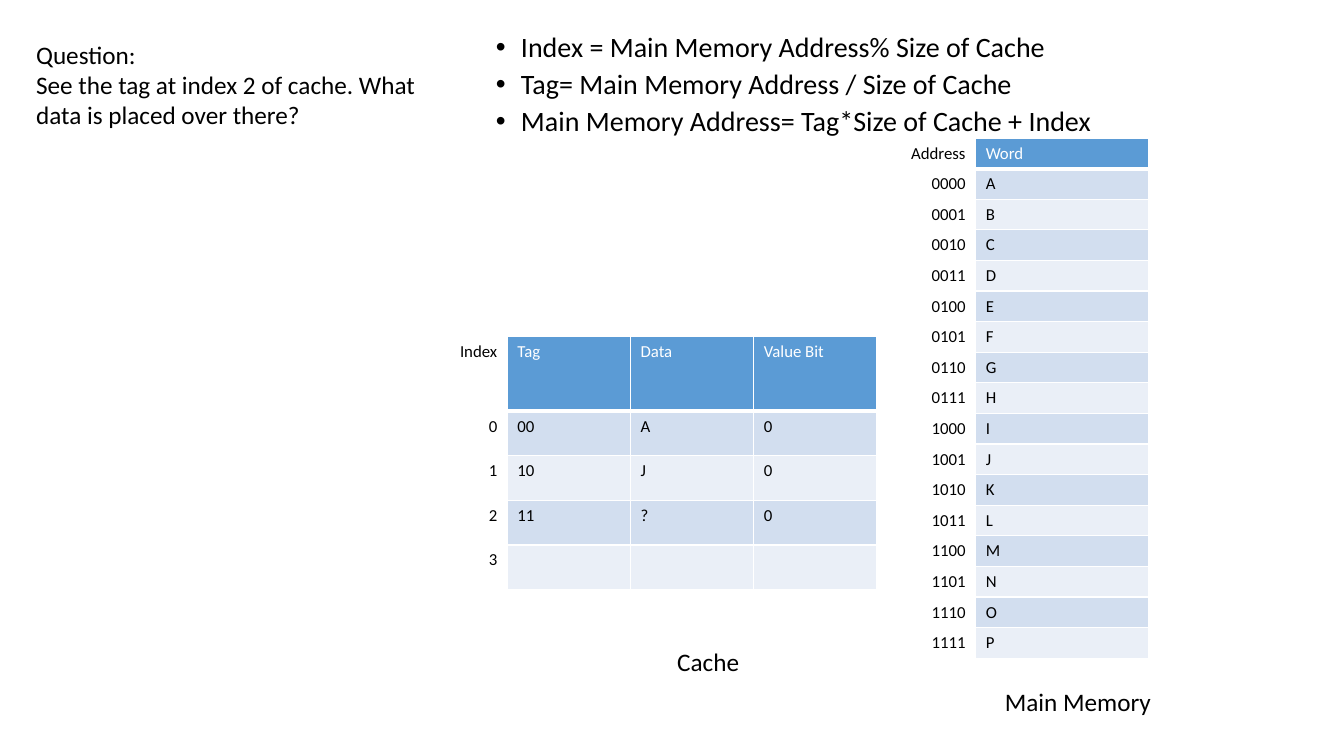
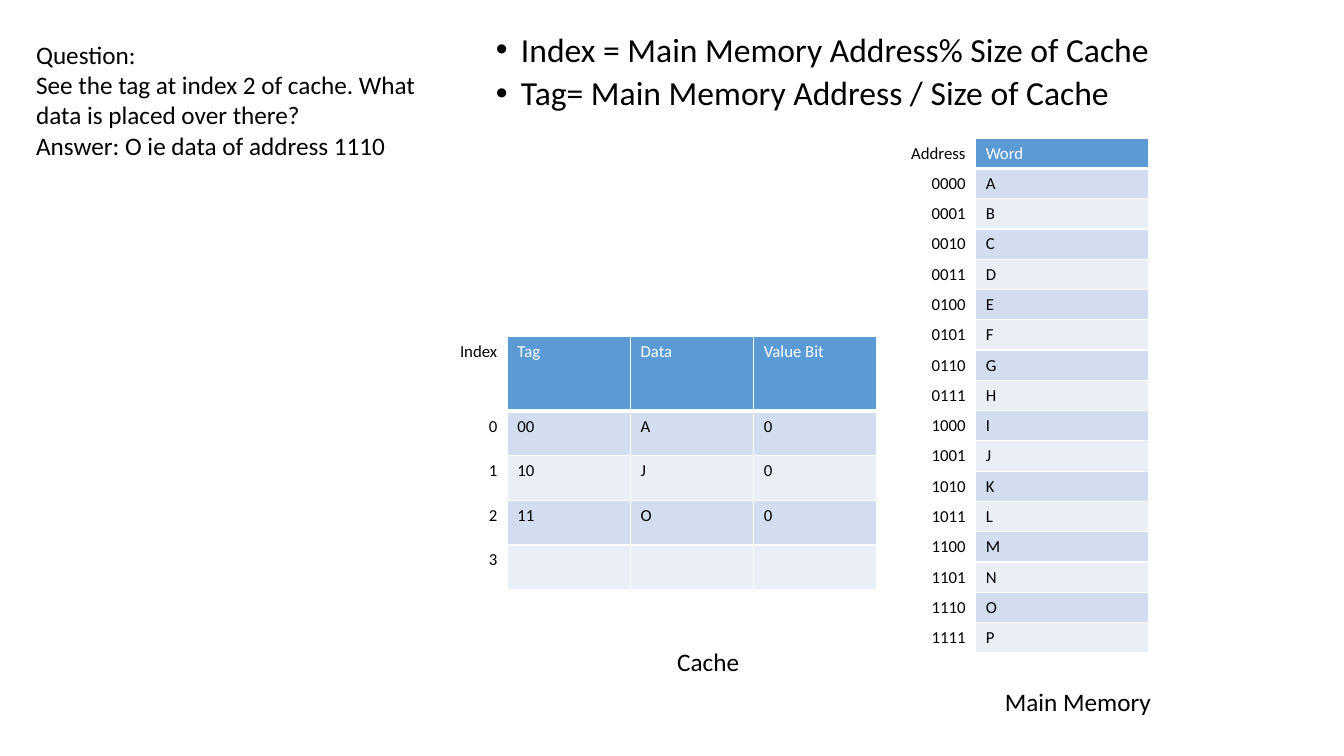
from dataclasses import dataclass

from lxml.etree import SubElement
from pptx import Presentation
from pptx.dml.color import RGBColor
from pptx.enum.text import MSO_AUTO_SIZE as AutoSize, PP_ALIGN as Align
from pptx.oxml.ns import qn
from pptx.util import Inches, Pt


@dataclass(frozen=True)
class Theme:
    font: str = "Calibri"
    ink: str = "000000"
    paper: str = "FFFFFF"
    header: str = "5B9BD5"
    bands: tuple = ("D2DEEF", "EAEFF7")
    cell_size: int = 12
    text_size: int = 18
    rule: int = 1
    header_rule: int = 3


@dataclass(frozen=True)
class Box:
    """A region in percent of the slide's width and height."""
    left: float
    top: float
    width: float
    height: float

    def place(self):
        return (int(WIDTH * self.left / 100), int(HEIGHT * self.top / 100),
                int(WIDTH * self.width / 100), int(HEIGHT * self.height / 100))


THEME = Theme()
WIDTH, HEIGHT = Inches(13.33), Inches(7.5)
MEMORY_BOX = Box(59.7, 18.27, 25.8, 68)
CACHE_BOX = Box(28.58, 44.53, 36.68, 33.47)
CAPTIONS = {
    "Cache": Box(49.65, 84.8, 6.15, 5.33),
    "Main Memory": Box(74.03, 90.13, 12.53, 5.33),
}

MEMORY_ROWS = [("Address", "Word")] + [
    (f"{address:04b}", word) for address, word in enumerate("ABCDEFGHIJKLMNOP")]
QUESTION = ["Question:",
            "See the tag at index 2 of cache. What data is placed over there?"]
FORMULAS = ["Index = Main Memory Address% Size of Cache",
            "Tag= Main Memory Address / Size of Cache",
            "Main Memory Address= Tag*Size of Cache + Index"]


def style(para, size, color=THEME.ink):
    para.font.name = THEME.font
    para.font.size = Pt(size)
    para.font.color.rgb = RGBColor.from_string(color)


def add_borders(cell, bottom):
    props = cell._tc.get_or_add_tcPr()
    for side in ("lnL", "lnR", "lnT", "lnB"):
        width = bottom if side == "lnB" else THEME.rule
        line = SubElement(props, qn(f"a:{side}"), w=str(Pt(width)))
        fill = SubElement(line, qn("a:solidFill"))
        SubElement(fill, qn("a:srgbClr"), val=THEME.paper)


def fill_cell(cell, text, row, is_label):
    """Format one cell; labels sit unfilled to the left of the banded grid."""
    is_header = row == 0
    add_borders(cell, THEME.header_rule if is_header else THEME.rule)
    cell.text = text
    para = cell.text_frame.paragraphs[0]
    if is_label:
        para.alignment = Align.RIGHT
        cell.fill.background()
    else:
        cell.fill.solid()
        color = THEME.header if is_header else THEME.bands[(row - 1) % 2]
        cell.fill.fore_color.rgb = RGBColor.from_string(color)
    style(para, THEME.cell_size,
          THEME.paper if is_header and not is_label else THEME.ink)


def add_grid(page, box, rows, row_shares):
    """Place a labelled table with equal columns and weighted rows."""
    left, top, width, height = box.place()
    columns = len(rows[0])
    table = page.shapes.add_table(
        len(rows), columns, left, top, width, height).table
    table.first_row = table.horz_banding = False
    for column in table.columns:
        column.width = width // columns
    for row, share in zip(table.rows, row_shares):
        row.height = int(height * share / sum(row_shares))
    for r, texts in enumerate(rows):
        for c, text in enumerate(texts):
            fill_cell(table.cell(r, c), text, r, is_label=c == 0)


def add_bullet(para):
    para.level = 1
    para.line_spacing = 0.9
    props = para._p.get_or_add_pPr()
    props.set("marL", str(Inches(0.75)))
    props.set("indent", str(Inches(-0.25)))
    SubElement(props, qn("a:buFont"), typeface="Arial")
    SubElement(props, qn("a:buChar"), char="•")


def add_text(page, box, lines, size=THEME.text_size, wrap=True, bullets=False):
    frame = page.shapes.add_textbox(*box.place()).text_frame
    frame.word_wrap = wrap
    frame.auto_size = AutoSize.SHAPE_TO_FIT_TEXT
    for number, line in enumerate(lines):
        para = frame.add_paragraph() if number else frame.paragraphs[0]
        para.text = line
        if bullets:
            if number:
                para.space_before = Pt(5)
            add_bullet(para)
        style(para, size)


def add_cache_page(deck, data, question, question_height,
                   formulas, formulas_height, formula_size):
    """Build one exercise page: memory, cache, captions and texts."""
    page = deck.slides.add_slide(deck.slide_layouts[6])

    # Tables
    add_grid(page, MEMORY_BOX, MEMORY_ROWS, [1] * len(MEMORY_ROWS))
    cache_rows = [("Index", "Tag", "Data", "Value Bit"),
                  ("0", "00", "A", "0"),
                  ("1", "10", "J", "0"),
                  ("2", "11", data, "0"),
                  ("3", "", "", "")]
    add_grid(page, CACHE_BOX, cache_rows, [5, 3, 3, 3, 3])

    # Captions
    for caption, box in CAPTIONS.items():
        add_text(page, box, [caption], wrap=False)

    # Question and formulas
    add_text(page, Box(1.95, 4.53, 30.45, question_height), question)
    add_text(page, Box(32.4, 3.73, 54, formulas_height), formulas,
             formula_size, bullets=True)


def main():
    deck = Presentation()
    deck.slide_width, deck.slide_height = WIDTH, HEIGHT
    add_cache_page(deck, "?", QUESTION, 21.6, FORMULAS, 21.07, 20)
    add_cache_page(deck, "O", QUESTION + ["Answer: O ie data of address 1110"],
                   25.6, FORMULAS[:2], 12, 24)
    deck.save("out.pptx")


if __name__ == "__main__":
    main()
